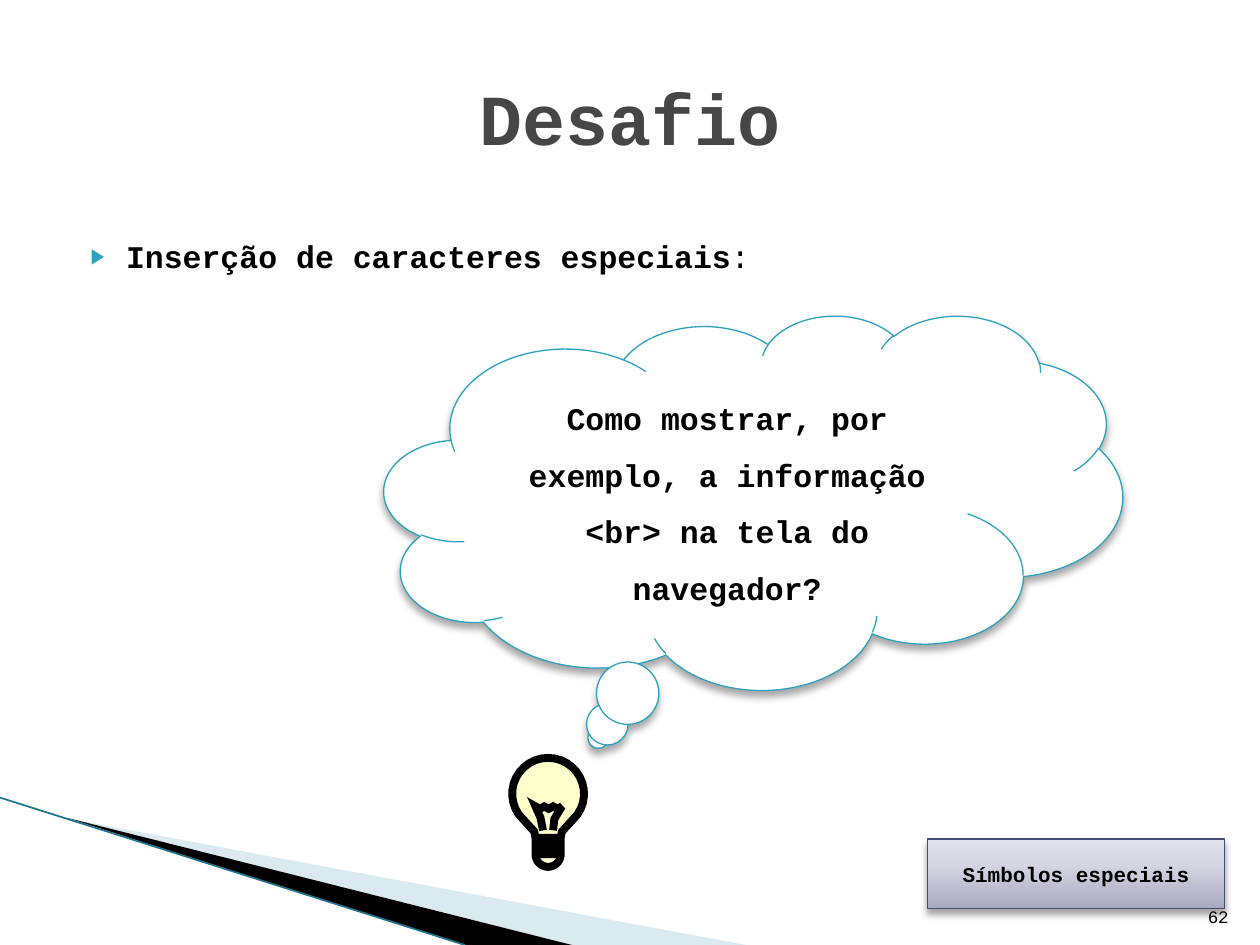
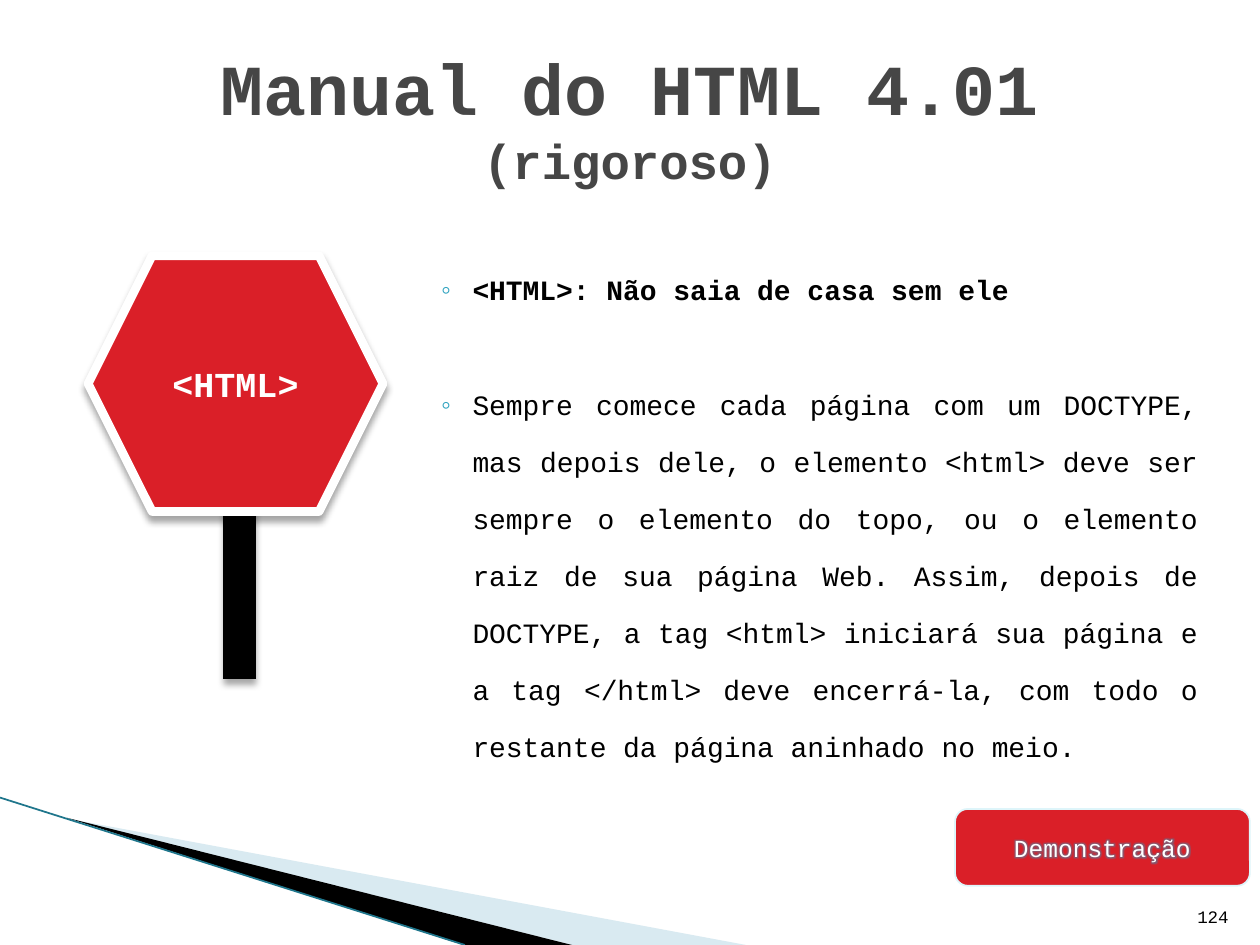
"""Builds two slides of an HTML course on a white, wedge-cornered theme."""
from math import cos, radians, sin

from lxml import etree
from pptx import Presentation
from pptx import util as u
from pptx.dml.color import RGBColor
from pptx.enum import shapes, text
from pptx.oxml import ns

FONT = "Courier New"
COLORS = {
    "ink": "000000", "title": "464646", "accent": "2DA2BF", "white": "FFFFFF",
    "red": "DA1F28", "red_edge": "DEF5FA", "wedge": "A0CBDC", "wedge_edge": "1F768C",
    "bulb": "FFFFCC", "button_edge": "474B78", "glow": "4F7F9F",
}
BUTTON_STOPS = ((0, "A8AAC0"), (65, "D6D7E3"), (100, "E2E2EC"))
ALIGN = text.PP_ALIGN
ANCHOR = text.MSO_ANCHOR
SHAPE = shapes.MSO_SHAPE


def rgb(name):
    """Return the named colour."""
    return RGBColor.from_string(COLORS[name])


def add_xml(parent, tag, **attributes):
    """Append a drawing element with its attributes."""
    return etree.SubElement(parent, ns.qn(tag), {k: str(v) for k, v in attributes.items()})


def add_color(parent, value, alpha=100):
    """Append a colour with its opacity in percent."""
    color = add_xml(parent, "a:srgbClr", val=value)
    if alpha < 100:
        add_xml(color, "a:alpha", val=alpha * 1000)


def add_shadow(effects):
    """Append the soft downward shadow to an effect list."""
    shadow = add_xml(effects, "a:outerShdw", blurRad=u.Pt(4), dist=u.Pt(3),
                     dir=90 * 60000, rotWithShape=0)
    add_color(shadow, COLORS["ink"], 35)


def write(paragraph, words, size=18, color="ink", bold=False, align=None, spacing=None, before=0):
    """Add a formatted run and set the format of its paragraph."""
    run = paragraph.add_run()
    run.text = words
    run.font.name, run.font.size, run.font.bold = FONT, u.Pt(size), bold
    run.font.color.rgb = rgb(color)
    if align is not None:
        paragraph.alignment = align
    if spacing:
        paragraph.line_spacing = spacing
    paragraph.space_before = u.Pt(before)
    return run


def arc(cx, cy, radius, start, end, steps=24):
    """Return points along a circle between two angles in degrees."""
    angles = [radians(start + (end - start) * i / steps) for i in range(steps + 1)]
    return [(cx + radius * cos(a), cy + radius * sin(a)) for a in angles]


class Deck:
    """Holds the deck style and the current slide."""

    def __init__(self):
        """Open an empty deck of the right size."""
        self.prs = Presentation()
        self.prs.slide_width, self.prs.slide_height = u.Inches(10), u.Inches(7.5)
        self.slide = None

    def new_slide(self, number):
        """Start a slide with the corner wedges and its number."""
        self.slide = self.prs.slides.add_slide(self.prs.slide_layouts[1])
        self.outline([(0.55, 6.5), (5.92, 7.5), (4.54, 7.5)], "wedge", alpha=40)
        self.outline([(0.53, 6.49), (4.54, 7.5), (3.68, 7.5)], "ink")
        self.line((0, 6.33), (3.69, 7.5), "wedge_edge", 1)
        box = self.slide.shapes.add_textbox(*map(u.Inches, (9.25, 7.01, 0.6, 0.4)))
        box.text_frame.word_wrap = True
        box.text_frame.vertical_anchor = ANCHOR.BOTTOM
        write(box.text_frame.paragraphs[0], str(number), size=10, align=ALIGN.RIGHT)

    def place(self, holder, left, top, width, height):
        """Move a placeholder."""
        holder.left, holder.top = u.Inches(left), u.Inches(top)
        holder.width, holder.height = u.Inches(width), u.Inches(height)
        holder.text_frame.auto_size = text.MSO_AUTO_SIZE.NONE

    def title(self, heading, subheading=None):
        """Fill the title, with an optional smaller second line."""
        holder = self.slide.shapes.title
        self.place(holder, 0.5, 0.3, 9, 1.25)
        holder.text_frame.vertical_anchor = ANCHOR.MIDDLE
        paragraph = holder.text_frame.paragraphs[0]
        style = {"color": "title", "bold": True, "align": ALIGN.CENTER}
        write(paragraph, heading, size=41, **style)
        if subheading:
            paragraph.add_line_break()
            write(paragraph, subheading, size=28, **style)

    def bullets(self, box, items, mark, indent, hang, size, mark_size=100, gap=0):
        """Fill the body with items, each a list of (words, bold) runs."""
        holder = self.slide.placeholders[1]
        self.place(holder, *box)
        frame = holder.text_frame
        for index, runs in enumerate(items):
            paragraph = frame.add_paragraph() if index else frame.paragraphs[0]
            props = paragraph._p.get_or_add_pPr()
            props.set("marL", str(u.Inches(indent)))
            props.set("indent", str(-u.Inches(hang)))
            add_color(add_xml(props, "a:buClr"), COLORS["accent"])
            add_xml(props, "a:buSzPct", val=mark_size * 1000)
            add_xml(props, "a:buFont", typeface="Arial")
            add_xml(props, "a:buChar", char=mark)
            for words, bold in runs:
                write(paragraph, words, size=size, bold=bold, align=ALIGN.JUSTIFY,
                      spacing=1.7, before=gap if index else 0)

    def shape(self, kind, box, fill, edge, weight, label, shadow=True, spacing=None, **style):
        """Add a preset shape with a centred label and return the label run."""
        shape = self.slide.shapes.add_shape(kind, *map(u.Inches, box))
        if isinstance(fill, str):
            shape.fill.solid()
            shape.fill.fore_color.rgb = rgb(fill)
        else:
            self.gradient(shape, fill)
        shape.line.color.rgb, shape.line.width = rgb(edge), u.Pt(weight)
        shape.shadow.inherit = False
        if shadow:
            add_shadow(shape._element.spPr.find(ns.qn("a:effectLst")))
        shape.text_frame.word_wrap = True
        shape.text_frame.vertical_anchor = ANCHOR.MIDDLE
        run = write(shape.text_frame.paragraphs[0], label, align=ALIGN.CENTER,
                    spacing=spacing, **style)
        return shape, run

    def gradient(self, shape, stops):
        """Fill a shape from bottom to top through the given stops."""
        shape.fill.gradient()
        shape.fill.gradient_angle = 90
        stop_list = shape._element.spPr.find(".//" + ns.qn("a:gsLst"))
        for old in list(stop_list):
            stop_list.remove(old)
        for position, value in stops:
            add_color(add_xml(stop_list, "a:gs", pos=position * 1000), value)

    def outline(self, points, fill=None, weight=0, alpha=100, closed=True):
        """Add a freeform through points given in inches."""
        corners = [(u.Inches(x), u.Inches(y)) for x, y in points]
        builder = self.slide.shapes.build_freeform(*corners[0])
        builder.add_line_segments(corners[1:], close=closed)
        shape = builder.convert_to_shape()
        shape.shadow.inherit = False
        if fill:
            shape.fill.solid()
            shape.fill.fore_color.rgb = rgb(fill)
            if alpha < 100:
                color = shape._element.spPr.find(".//" + ns.qn("a:srgbClr"))
                add_xml(color, "a:alpha", val=alpha * 1000)
        else:
            shape.fill.background()
        if weight:
            shape.line.color.rgb, shape.line.width = rgb("ink"), u.Pt(weight)
            add_xml(shape.line._get_or_add_ln(), "a:miter", lim=800000)
        else:
            shape.line.fill.background()

    def line(self, start, end, color, weight, shadow=False):
        """Add a straight line."""
        line = self.slide.shapes.add_connector(
            shapes.MSO_CONNECTOR.STRAIGHT, *map(u.Inches, start + end))
        line.line.color.rgb, line.line.width = rgb(color), u.Pt(weight)
        effects = add_xml(line._element.spPr, "a:effectLst")
        if shadow:
            add_shadow(effects)

    def light_bulb(self):
        """Draw the bulb with its filament and screw base."""
        glass = arc(4.35, 6.3, 0.285, 35, -215)
        base = arc(4.35, 6.78, 0.1, 180, 0)
        self.outline(glass + [(4.24, 6.6), (4.25, 6.65)] + base + [(4.45, 6.65), (4.46, 6.6)],
                     "bulb", 4.5)
        crests = [(4.25 + 0.035 * i, 6.42 if i % 2 else 6.4) for i in range(7)]
        self.outline([(4.31, 6.59), (4.29, 6.49)] + crests + [(4.4, 6.5), (4.39, 6.59)],
                     weight=4.5, closed=False)
        screw = [(x, y) for y in (6.65, 6.69, 6.74, 6.78) for x in (4.25, 4.45)]
        self.outline(screw, weight=4.5, closed=False)

    def glow(self, run):
        """Put a soft glow behind a run."""
        effects = etree.Element(ns.qn("a:effectLst"))
        add_color(add_xml(effects, "a:glow", rad=u.Pt(5)), COLORS["glow"], 60)
        run.font._element.find(ns.qn("a:solidFill")).addnext(effects)


def challenge_slide(deck):
    """Build the challenge on special characters."""
    deck.new_slide(62)
    deck.title("Desafio")
    deck.bullets((0.5, 1.62, 9, 4.95),
                 [[("Inserção de caracteres especiais", True), (":", False)]],
                 mark="▶", indent=0.4, hang=0.28, size=18, mark_size=68)
    question, _ = deck.shape(
        SHAPE.CLOUD_CALLOUT, (3.05, 2.5, 5.86, 2.97), "white", "accent", 0.75,
        "Como mostrar, por exemplo, a informação <br> na tela do navegador?",
        spacing=1.5, bold=True)
    question.adjustments[0], question.adjustments[1] = -0.21, 0.63
    deck.light_bulb()
    deck.shape(SHAPE.RECTANGLE, (7.36, 6.66, 2.36, 0.55), BUTTON_STOPS, "button_edge", 0.75,
               "Símbolos especiais", size=12, bold=True)


def manual_slide(deck):
    """Build the manual page on the html element."""
    deck.new_slide(124)
    deck.title("Manual do HTML 4.01", "(rigoroso)")
    rule = ("Sempre comece cada página com um DOCTYPE, mas depois dele, o elemento <html> "
            "deve ser sempre o elemento do topo, ou o elemento raiz de sua página Web. "
            "Assim, depois de DOCTYPE, a tag <html> iniciará sua página e a tag </html> "
            "deve encerrá-la, com todo o restante da página aninhado no meio.")
    deck.bullets((2.97, 1.93, 6.64, 4.95),
                 [[("<HTML>: Não saia de casa sem ele", True)], [(rule, False)]],
                 mark="◦", indent=0.68, hang=0.25, size=16, gap=33)
    deck.line((1.9, 3.67), (1.9, 5.39), "ink", 18.75, shadow=True)
    deck.shape(SHAPE.HEXAGON, (0.7, 2.03, 2.34, 2.03), "red", "white", 5, "<HTML>",
               size=20, color="white", bold=True)
    _, demo = deck.shape(SHAPE.ROUNDED_RECTANGLE, (7.58, 6.42, 2.34, 0.61), "red", "red_edge", 1,
                         "Demonstração", shadow=False, size=14, color="white")
    deck.glow(demo)


def main():
    """Build and save the deck."""
    deck = Deck()
    challenge_slide(deck)
    manual_slide(deck)
    deck.prs.save("out.pptx")


if __name__ == "__main__":
    main()
